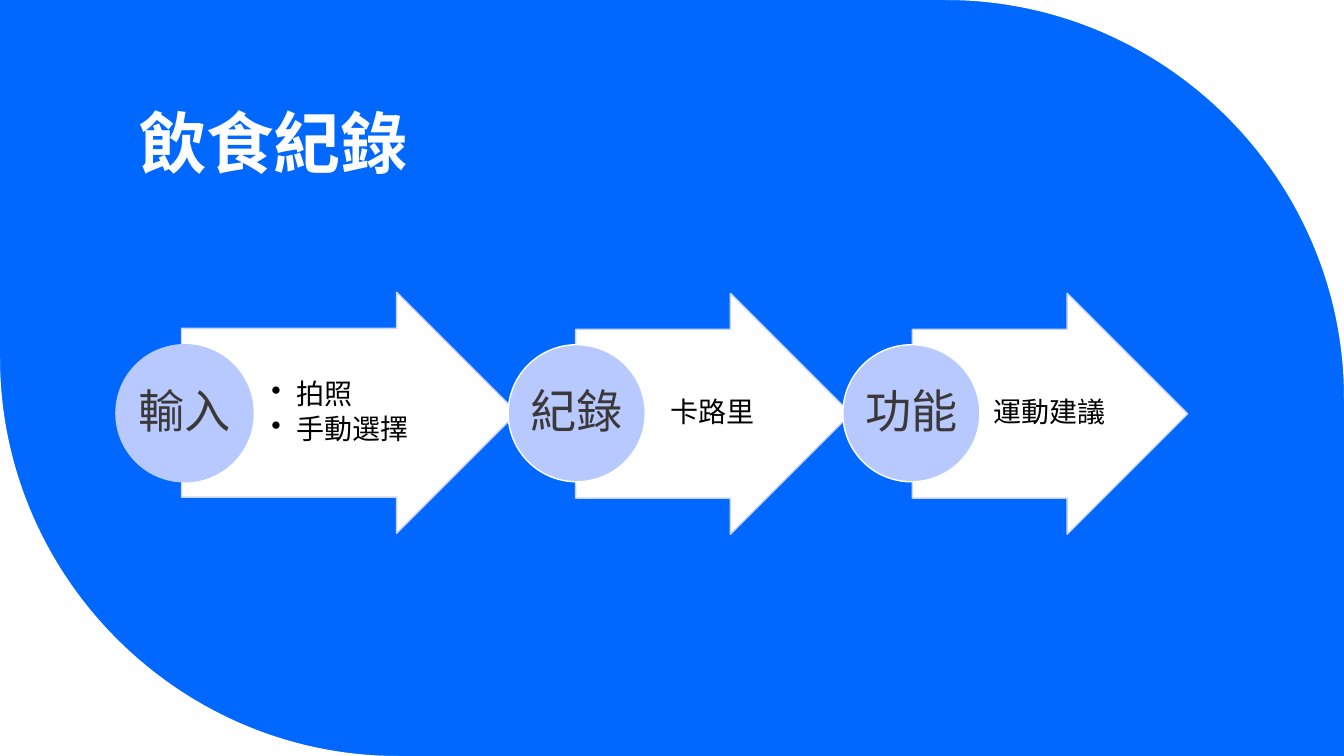
from lxml import etree
from pptx import Presentation
from pptx.dml.color import RGBColor
from pptx.enum.shapes import MSO_SHAPE
from pptx.enum.text import MSO_ANCHOR, PP_ALIGN
from pptx.oxml.ns import qn
from pptx.util import Inches, Pt

ARROW, CIRCLE = MSO_SHAPE.RIGHT_ARROW, MSO_SHAPE.OVAL
MIDDLE, BOTTOM = MSO_ANCHOR.MIDDLE, MSO_ANCHOR.BOTTOM
LEFT, CENTER = PP_ALIGN.LEFT, PP_ALIGN.CENTER

FONT = "Noto Sans CJK TC"
COLORS = {"blue": "0068FF", "white": "FFFFFF", "edge": "CCD4FF",
          "circle": "B7C9FF", "dark": "3B3838", "black": "000000"}
WIDTH, HEIGHT = 13.33, 7.5
CORNER = 3.95
ROUNDNESS = 0.55
CIRCLE_TOP, CIRCLE_SIZE = 3.42, 1.36

# Label, details, circle left, circle edge colour, arrow box
STEPS = [
    ("輸入", ["拍照", "手動選擇"], 1.15, "circle", (1.8, 2.9, 3.33, 2.39)),
    ("紀錄", ["卡路里"], 5.04, "white", (5.71, 2.91, 2.73, 2.39)),
    ("功能", ["運動建議"], 8.36, "white", (9.05, 2.91, 2.73, 2.39)),
]


def color(name):
    return RGBColor.from_string(COLORS[name])


def paint(shape, fill, line=None):
    shape.shadow.inherit = False
    shape.fill.solid()
    shape.fill.fore_color.rgb = color(fill)
    if line:
        shape.line.color.rgb = color(line)
        shape.line.width = Pt(1)
    else:
        shape.line.fill.background()


def write(shape, lines, size, ink, align, anchor, insets, bold=False):
    frame = shape.text_frame
    frame.word_wrap = True
    frame.vertical_anchor = anchor
    (frame.margin_left, frame.margin_top,
     frame.margin_right, frame.margin_bottom) = map(Inches, insets)
    frame.text = "\n".join(lines)
    for para in frame.paragraphs:
        para.alignment = align
        para.line_spacing = 0.9
        para.space_before = para.space_after = Pt(0)
        for span in para.runs:
            span.font.size = Pt(size)
            span.font.bold = bold
            span.font.name = FONT
            span.font.color.rgb = color(ink)
            east_asian = etree.SubElement(span.font._element, qn("a:ea"))
            east_asian.set("typeface", FONT)


def add_bullets(frame):
    for para in frame.paragraphs:
        para.space_after = Pt(3)
        properties = para._p.get_or_add_pPr()
        properties.set("marL", str(Inches(0.25)))
        properties.set("indent", str(Inches(-0.25)))
        etree.SubElement(properties, qn("a:buChar")).set("char", "•")


def add_corner(page, corner, start, end):
    """Fill the area between a page corner and its quarter circle."""
    builder = page.shapes.build_freeform(*map(Inches, corner))
    builder.add_line_segments([tuple(map(Inches, point)) for point in (start, end)])
    shape = builder.convert_to_shape()
    paint(shape, "white")
    # Turn the closing side into a curve that leans towards the corner
    curve = list(shape._element.iter(qn("a:lnTo")))[1]
    curve.tag = qn("a:cubicBezTo")
    for index, point in enumerate((start, end)):
        handle = [at + ROUNDNESS * (target - at)
                  for at, target in zip(point, corner)]
        control = etree.Element(qn("a:pt"))
        control.set("x", str(Inches(handle[0]) - shape.left))
        control.set("y", str(Inches(handle[1]) - shape.top))
        curve.insert(index, control)


def add_title(page, text, box):
    title = page.shapes.title
    title.left, title.top, title.width, title.height = map(Inches, box)
    write(title, [text], 48, "white", LEFT, BOTTOM, (0.1, 0.05, 0.1, 0.05), True)


def add_step(page, label, details, circle_left, circle_edge, box):
    left, top, width, height = box
    # Arrow
    arrow = page.shapes.add_shape(ARROW, *map(Inches, box))
    arrow.adjustments[0], arrow.adjustments[1] = 0.7, 0.5
    paint(arrow, "white", "edge")
    # Details over the arrow's shaft
    text_box = (left + width / 4, top + height * 0.15, width / 2, height * 0.7)
    detail = page.shapes.add_textbox(*map(Inches, text_box))
    bulleted = len(details) > 1
    write(detail, details, 20, "black", LEFT if bulleted else CENTER, MIDDLE,
          (0.06, 0.01, 0.03 if bulleted else 0.07, 0.01))
    if bulleted:
        add_bullets(detail.text_frame)
    # Circle with the step's name
    circle_box = (circle_left, CIRCLE_TOP, CIRCLE_SIZE, CIRCLE_SIZE)
    circle = page.shapes.add_shape(CIRCLE, *map(Inches, circle_box))
    paint(circle, "circle", circle_edge)
    write(circle, [label], 33, "dark", CENTER, MIDDLE, (0.02,) * 4)


def main():
    deck = Presentation()
    deck.slide_width, deck.slide_height = Inches(WIDTH), Inches(HEIGHT)
    page = deck.slides.add_slide(deck.slide_layouts[5])
    page.background.fill.solid()
    page.background.fill.fore_color.rgb = color("blue")
    # Rounded white corners
    add_corner(page, (WIDTH, 0), (WIDTH - CORNER, 0), (WIDTH, CORNER))
    add_corner(page, (0, HEIGHT), (CORNER, HEIGHT), (0, HEIGHT - CORNER))
    add_title(page, "飲食紀錄", (1.28, 0.42, 10.69, 1.45))
    for step in STEPS:
        add_step(page, *step)
    deck.save("out.pptx")


if __name__ == "__main__":
    main()
